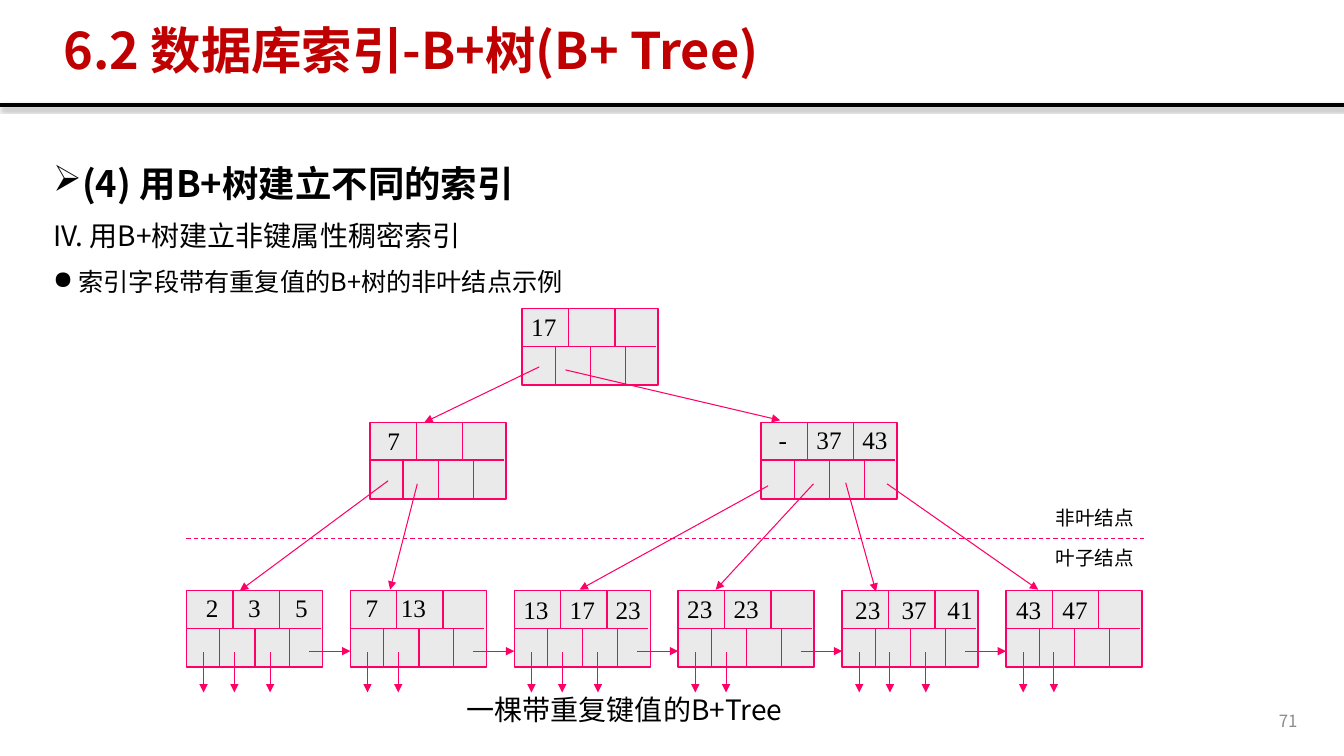
from lxml.etree import SubElement
from pptx import Presentation
from pptx.dml.color import RGBColor
from pptx.enum.dml import MSO_LINE_DASH_STYLE as DASH
from pptx.enum.shapes import MSO_CONNECTOR as CONN, MSO_SHAPE as SHAPE
from pptx.enum.text import MSO_ANCHOR as ANCHOR, MSO_AUTO_SIZE as FIT, PP_ALIGN as ALIGN
from pptx.oxml.ns import qn
from pptx.util import Inches, Pt

COLS, ROWS = 133.33, 75
WIDTH, HEIGHT = Inches(13.33), Inches(7.5)
BLACK = RGBColor(0x00, 0x00, 0x00)
RED = RGBColor(0xC0, 0x00, 0x00)
PINK = RGBColor(0xFF, 0x00, 0x66)
PALE = RGBColor(0xEA, 0xEA, 0xEA)
GREY = RGBColor(0x8C, 0x8C, 0x8C)
SANS, SERIF = "Noto Sans CJK SC", "Times New Roman"

NODE_W, NODE_H, NODE_MID = 13.5, 7.6, 3.75
KEY_DIVIDERS = (4.6, 9.2)
POINTER_DIVIDERS = (3.3, 6.8, 10.25)
KEY_BOXES = ((-0.8, 5.9), (3.8, 5.9), (8.9, 4.8))
LEAF_LEFT, LEAF_TOP, LEAF_STEP = 18.5, 58.6, 16.26
RECORD_XS = (1.7, 4.75, 8.3)

INNER_NODES = [
    (51.8, 30.6, ["17"], -0.2, (0,)),
    (36.7, 41.9, ["7"], -0.2, (0.2,)),
    (75.5, 41.9, ["-", "37", "43"], -0.3, (0, 0, 0)),
]
LEAVES = [
    (["2", "3", "5"], -0.3, (0.4, 0, 0.1)),
    (["7", "13"], -0.3, (0, -0.5)),
    (["13", "17", "23"], -0.1, (0, 0, 0)),
    (["23", "23"], -0.2, (0, 0)),
    (["23", "37", "41"], -0.1, (0.4, 0.4, 0.4)),
    (["43", "47"], -0.1, (0.1, 0.1)),
]
CHILD_ARROWS = [
    (53.5, 36.4, 42.1, 41.9), (56.1, 36.7, 77.4, 41.7),
    (38.5, 47.7, 23.8, 58.6), (41.4, 48, 38.7, 58.5),
    (76.2, 48.2, 57.5, 58.5), (80.7, 48, 71, 58.5),
    (83.9, 47.9, 86.9, 58.7), (88, 48, 103, 58.5),
]


def write(p, text, size=18, font=SANS, color=BLACK, bold=False, align=None,
          spacing=None, before=None, bullet=None):
    pPr = p._p.get_or_add_pPr()
    if align is not None:
        p.alignment = align
    if spacing:
        p.line_spacing = spacing
    if before is not None:
        p.space_before = Pt(before)
    if bullet:
        pPr.set("marL", str(Inches(0.25)))
        pPr.set("indent", str(-Inches(0.25)))
        SubElement(pPr, qn("a:buChar"), char=bullet)
    r = p.add_run()
    r.text = text
    r.font.size, r.font.name, r.font.bold = Pt(size), font, bold
    r.font.color.rgb = color
    SubElement(r._r.get_or_add_rPr(), qn("a:ea"), typeface=SANS)


class Canvas:
    def __init__(self, prs):
        self.slide = prs.slides.add_slide(prs.slide_layouts[6])

    def x(self, cols):
        return round(WIDTH * cols / COLS)

    def y(self, rows):
        return round(HEIGHT * rows / ROWS)

    def box(self, left, top, width, height, wrap=True, grow=False, anchor=ANCHOR.TOP):
        sp = self.slide.shapes.add_textbox(self.x(left), self.y(top), self.x(width), self.y(height))
        tf = sp.text_frame
        tf.word_wrap, tf.vertical_anchor = wrap, anchor
        if grow:
            tf.auto_size = FIT.SHAPE_TO_FIT_TEXT
        return tf

    def label(self, text, left, top, width, height, wrap=True, grow=True,
              anchor=ANCHOR.TOP, **style):
        tf = self.box(left, top, width, height, wrap, grow, anchor)
        write(tf.paragraphs[0], text, **style)

    def line(self, x1, y1, x2, y2, color=PINK, width=0.75, dash=None, arrow=False):
        sp = self.slide.shapes.add_connector(
            CONN.STRAIGHT, self.x(x1), self.y(y1), self.x(x2), self.y(y2))
        sp.line.color.rgb, sp.line.width = color, Pt(width)
        if dash:
            sp.line.dash_style = dash
        if arrow:
            SubElement(sp.line._get_or_add_ln(), qn("a:tailEnd"), type="triangle")
        return SubElement(sp._element.spPr, qn("a:effectLst"))

    def rule(self, row):
        effects = self.line(0, row, COLS, row, BLACK, 3)
        shadow = SubElement(effects, qn("a:outerShdw"), blurRad=str(Pt(3.1)),
                            dist=str(Pt(1.8)), dir="5400000", rotWithShape="0")
        color = SubElement(shadow, qn("a:srgbClr"), val=str(BLACK))
        SubElement(color, qn("a:alpha"), val="35000")

    def node(self, left, top, keys, key_dy, key_shifts):
        sp = self.slide.shapes.add_shape(
            SHAPE.RECTANGLE, self.x(left), self.y(top), self.x(NODE_W), self.y(NODE_H))
        sp.shadow.inherit = False
        sp.fill.solid()
        sp.fill.fore_color.rgb = PALE
        sp.line.color.rgb, sp.line.width = PINK, Pt(1)
        middle = top + NODE_MID
        self.line(left + 0.1, middle, left + NODE_W - 0.2, middle, width=1)
        for dx in KEY_DIVIDERS:
            self.line(left + dx, top, left + dx, middle, width=1)
        for dx in POINTER_DIVIDERS:
            self.line(left + dx, middle, left + dx, top + NODE_H, width=1)
        for key, (dx, width), shift in zip(keys, KEY_BOXES, key_shifts):
            self.label(key, left + dx + shift, top + key_dy, width, 4,
                       font=SERIF, align=ALIGN.CENTER)


def main():
    prs = Presentation()
    prs.slide_width, prs.slide_height = WIDTH, HEIGHT
    s = Canvas(prs)

    s.rule(10.4)
    tf = s.box(4.3, 13.3, 125.4, 55.4)
    write(tf.paragraphs[0], "(4) 用B+树建立不同的索引", size=26, bold=True,
          align=ALIGN.JUSTIFY, spacing=1.5, bullet="➢")
    write(tf.add_paragraph(), "IV. 用B+树建立非键属性稠密索引", size=20, before=10)
    write(tf.add_paragraph(), "索引字段带有重复值的B+树的非叶结点示例", before=10, bullet="●")
    s.label("6.2 数据库索引-B+树(B+ Tree)", 5.3, 2, 117, 6.5, anchor=ANCHOR.MIDDLE,
            size=36, color=RED, bold=True, spacing=0.9)

    for node in INNER_NODES:
        s.node(*node)
    for i, (keys, key_dy, key_shifts) in enumerate(LEAVES):
        left = LEAF_LEFT + i * LEAF_STEP
        s.node(left, LEAF_TOP, keys, key_dy, key_shifts)
        for dx in RECORD_XS[:len(keys)]:
            s.line(left + dx, 64.7, left + dx, 68.7, arrow=True)
        if i < len(LEAVES) - 1:
            s.line(left + 12.2, 64.6, left + LEAF_STEP, 64.6, arrow=True)
    for ends in CHILD_ARROWS:
        s.line(*ends, arrow=True)

    s.line(18.5, 53.4, 113.7, 53.4, dash=DASH.DASH)
    for text, top in (("非叶结点", 49.7), ("叶子结点", 53.7)):
        s.label(text, 103.7, top, 9.8, 3.3, wrap=False, size=14, font=SERIF, align=ALIGN.CENTER)
    s.label("一棵带重复键值的B+Tree", 45, 68.2, 33.9, 4.4, wrap=False, size=20, align=ALIGN.CENTER)
    s.label("71", 99.7, 69.5, 30, 4, grow=False, anchor=ANCHOR.MIDDLE,
            size=12, color=GREY, align=ALIGN.RIGHT)
    prs.save("out.pptx")


if __name__ == "__main__":
    main()
